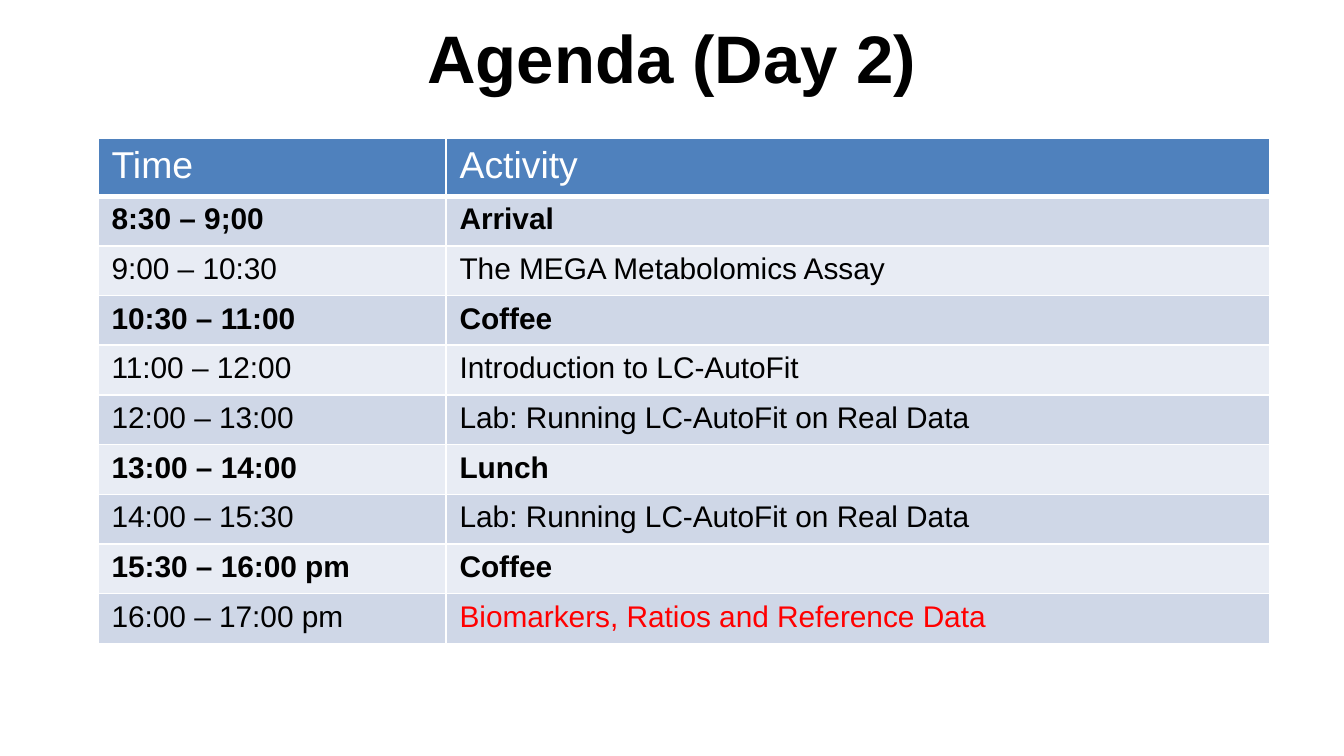
import pptx
import pptx.dml.color
import pptx.enum.text
import pptx.oxml
import pptx.oxml.ns
import pptx.util
from pptx.util import Inches

FONT = "Arial"
WHITE, BLACK, RED = "FFFFFF", "000000", "FF0000"
HEADER_FILL = "4F81BD"
BAND_FILLS = ("CFD7E7", "E8ECF4")

HEADINGS = ("Time", "Activity")
# time, activity, bold, activity colour
SESSIONS = [
    ("8:30 – 9;00", "Arrival", True, BLACK),
    ("9:00 – 10:30", "The MEGA Metabolomics Assay", False, BLACK),
    ("10:30 – 11:00", "Coffee", True, BLACK),
    ("11:00 – 12:00", "Introduction to LC-AutoFit", False, BLACK),
    ("12:00 – 13:00", "Lab: Running LC-AutoFit on Real Data", False, BLACK),
    ("13:00 – 14:00", "Lunch", True, BLACK),
    ("14:00 – 15:30", "Lab: Running LC-AutoFit on Real Data", False, BLACK),
    ("15:30 – 16:00 pm", "Coffee", True, BLACK),
    ("16:00 – 17:00 pm", "Biomarkers, Ratios and Reference Data", False, RED),
]


def rgb(value):
    return pptx.dml.color.RGBColor.from_string(value)


def add_run(paragraph, text, size, colour, bold=None):
    run = paragraph.add_run()
    run.text = text
    run.font.name = FONT
    run.font.size = pptx.util.Pt(size)
    run.font.bold = bold
    run.font.color.rgb = rgb(colour)


def set_borders(cell, top, bottom):
    """Draw white borders; top and bottom are widths in points."""
    properties = cell._tc.get_or_add_tcPr()
    for side, width in (("L", 1), ("R", 1), ("T", top), ("B", bottom)):
        properties.append(pptx.oxml.parse_xml(
            f'<a:ln{side} {pptx.oxml.ns.nsdecls("a")} w="{pptx.util.Pt(width)}">'
            f'<a:solidFill><a:srgbClr val="{WHITE}"/></a:solidFill></a:ln{side}>'))


def fill_cell(cell, text, size, colour, fill, bold=None, top=1, bottom=1):
    set_borders(cell, top, bottom)
    cell.fill.solid()
    cell.fill.fore_color.rgb = rgb(fill)
    add_run(cell.text_frame.paragraphs[0], text, size, colour, bold)


def place_title(slide, left, top, width, height):
    title = slide.shapes.title
    title.left, title.top = Inches(left), Inches(top)
    title.width, title.height = Inches(width), Inches(height)
    frame = title.text_frame
    frame.vertical_anchor = pptx.enum.text.MSO_ANCHOR.MIDDLE
    paragraph = frame.paragraphs[0]
    paragraph.alignment = pptx.enum.text.PP_ALIGN.CENTER
    add_run(paragraph, "Agenda (Day 2)", 36, BLACK, True)


def add_agenda(slide, left, top, column_widths, header_height, row_height):
    agenda = slide.shapes.add_table(
        len(SESSIONS) + 1, len(HEADINGS), Inches(left), Inches(top),
        Inches(sum(column_widths)),
        Inches(header_height + row_height * len(SESSIONS))).table
    for column, width in zip(agenda.columns, column_widths):
        column.width = Inches(width)
    for index, row in enumerate(agenda.rows):
        row.height = Inches(row_height if index else header_height)

    for column, heading in enumerate(HEADINGS):
        fill_cell(agenda.cell(0, column), heading, 20, WHITE, HEADER_FILL, bottom=3)
    for index, (time, activity, bold, colour) in enumerate(SESSIONS):
        fill = BAND_FILLS[index % 2]
        top_border = 1 if index else 3
        fill_cell(agenda.cell(index + 1, 0), time, 16, BLACK, fill, bold, top_border)
        fill_cell(agenda.cell(index + 1, 1), activity, 16, colour, fill, bold, top_border)


def main():
    presentation = pptx.Presentation()
    presentation.slide_width = Inches(10)
    presentation.slide_height = Inches(10 * 9 / 16)
    slide = presentation.slides.add_slide(presentation.slide_layouts[5])
    slide.background.fill.solid()
    slide.background.fill.fore_color.rgb = rgb(WHITE)
    place_title(slide, 0.5, -0.05, 9, 0.94)
    add_agenda(slide, 0.73, 1.03, (2.59, 6.13), 0.43, 0.37)
    presentation.save("out.pptx")


if __name__ == "__main__":
    main()
